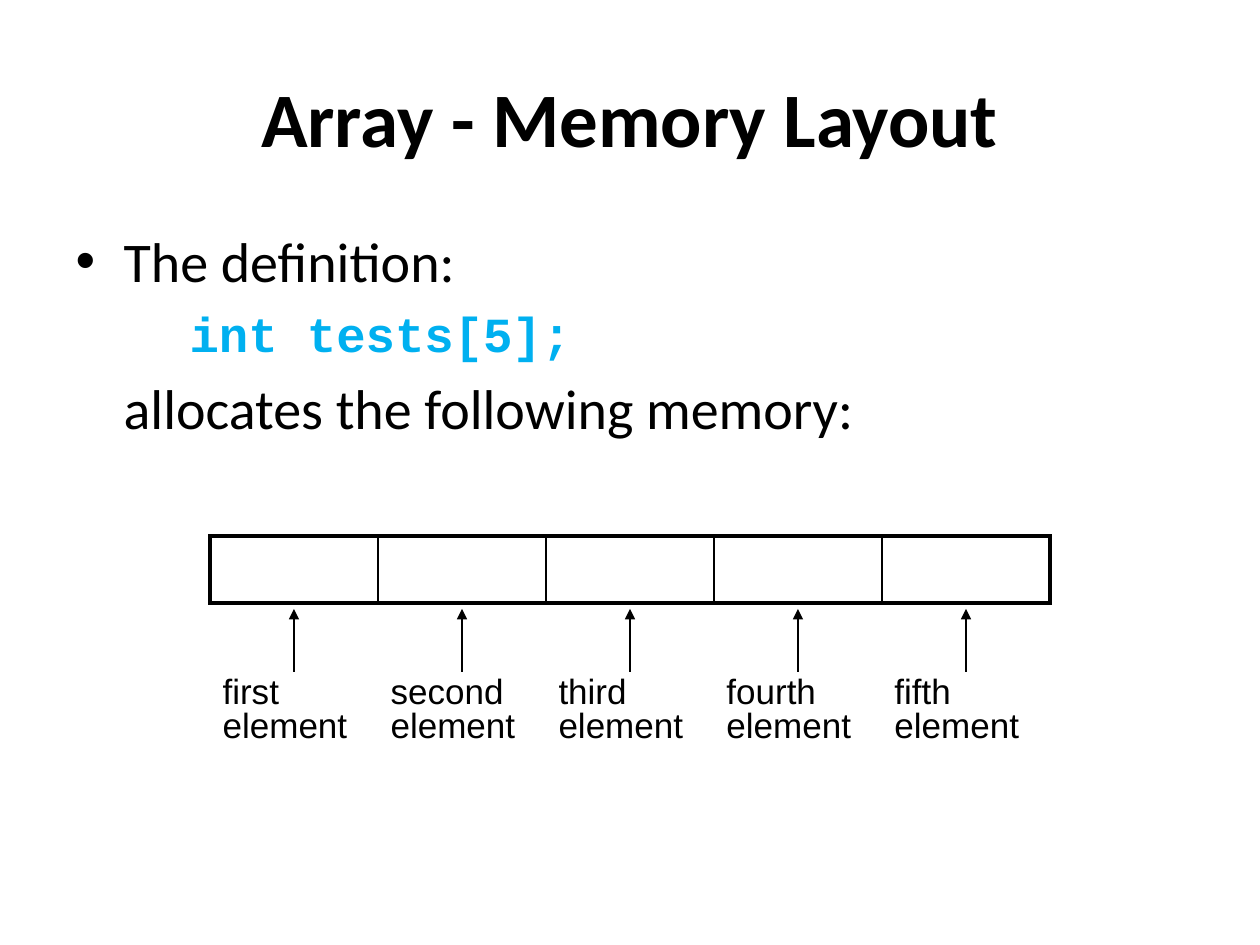
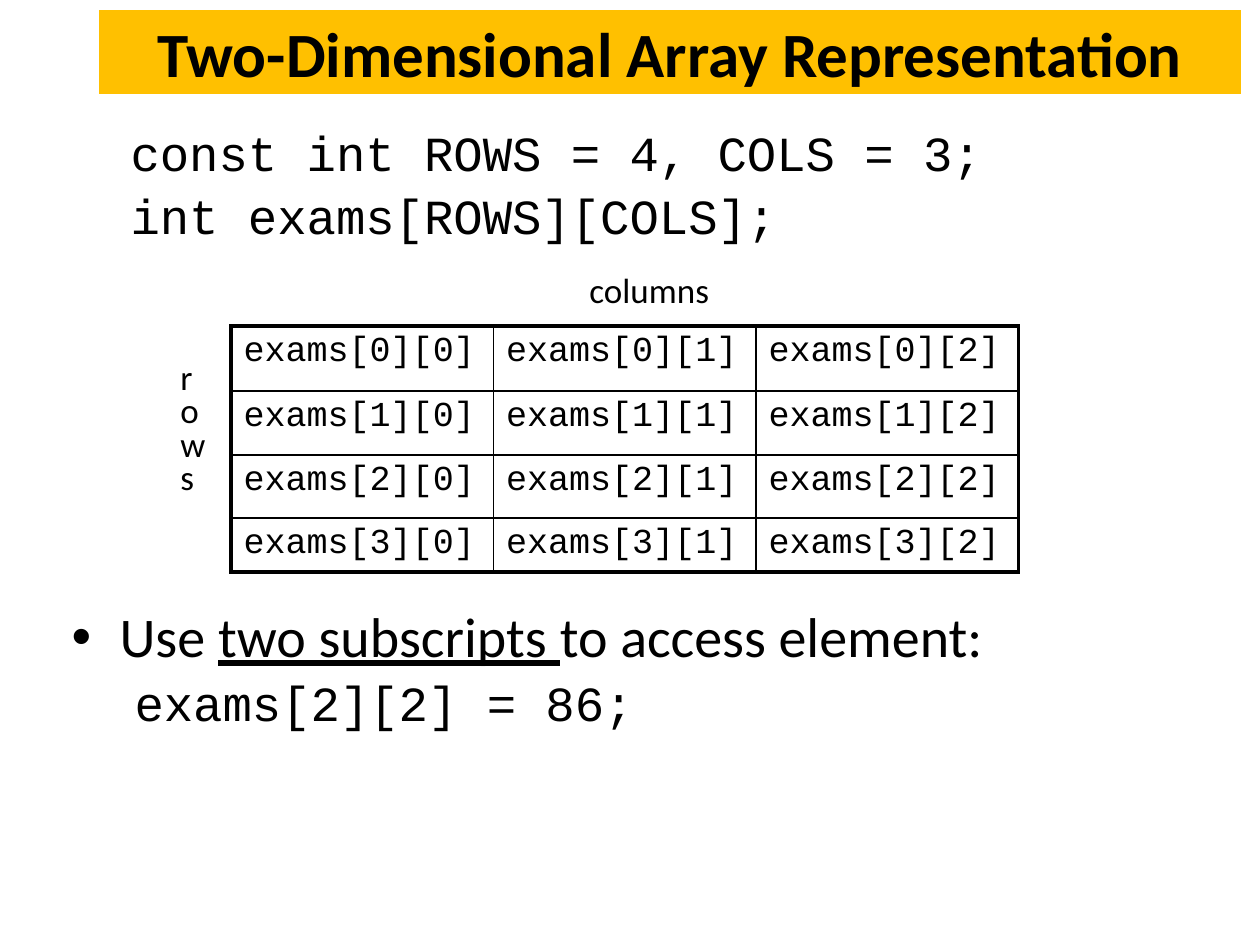
from dataclasses import dataclass

from lxml import etree
from pptx import Presentation
from pptx import util as u
from pptx.dml.color import RGBColor
from pptx.enum import shapes, text
from pptx.oxml import ns

# ---- Content: body lines are (style, wording); | switches underlining ----
MEMORY = {
    "title": "Array - Memory Layout",
    "body": [
        ("bullet", "The definition:"),
        ("definition", "int tests[5];"),
        ("continued", "allocates the following memory:"),
    ],
    "elements": [f"{nth} element" for nth in ("first", "second", "third", "fourth", "fifth")],
}
GRID = {
    "title": "Two-Dimensional Array Representation",
    "body": [
        ("declaration", "const int ROWS = 4, COLS = 3;"),
        ("declaration", "int exams[ROWS][COLS];"),
        ("after_grid", "Use |two subscripts |to access element:"),
        ("access", "exams[2][2] = 86;"),
    ],
    "cells": [[f"exams[{row}][{col}]" for col in range(3)] for row in range(4)],
    "columns": "columns",
    "rows": "rows",
}


# ---- Theme ----
@dataclass(frozen=True)
class Theme:
    ink: str = "000000"
    code: str = "00B0F0"
    band: str = "FFC000"
    sans: str = "Calibri"
    label_font: str = "Arial"
    mono: str = "Courier New"
    title: int = 44
    band_title: int = 36
    body: int = 32
    listing: int = 28
    label: int = 20
    outer_line: float = 2.25
    inner_line: float = 1
    arrow_line: float = 0.75


THEME = Theme()


@dataclass(frozen=True)
class LineStyle:
    indent: int
    font: str = THEME.sans
    size: int = THEME.body
    color: str = THEME.ink
    bold: bool = False
    bullet: bool = False
    level: int = 0
    before: int = 0


STYLES = {
    "bullet": LineStyle(48, bullet=True),
    "continued": LineStyle(48),
    "definition": LineStyle(114, THEME.mono, THEME.listing, THEME.code, bold=True, level=1),
    "declaration": LineStyle(59, THEME.mono, THEME.listing),
    "after_grid": LineStyle(48, bullet=True, before=208),
    "access": LineStyle(63, THEME.mono, THEME.listing, level=1),
}

PX_PER_INCH = 126


def px(length):
    return u.Emu(round(length * 914400 / PX_PER_INCH))


def place(shape, box):
    shape.left, shape.top, shape.width, shape.height = map(px, box)


# ---- Text ----
def style_font(font, name, size, color=THEME.ink, bold=False):
    font.name, font.size, font.bold = name, u.Pt(size), bold
    font.color.rgb = RGBColor.from_string(color)


def style_frame(frame, name, size, spacing=None, bold=False):
    for line in frame.paragraphs:
        line.line_spacing = spacing
        for run in line.runs:
            style_font(run.font, name, size, bold=bold)


def add_title(slide, wording, box, size):
    title = slide.shapes.title
    place(title, box)
    title.text_frame.text = wording
    title.text_frame.vertical_anchor = text.MSO_ANCHOR.MIDDLE
    title.text_frame.paragraphs[0].alignment = text.PP_ALIGN.CENTER
    style_frame(title.text_frame, THEME.sans, size, bold=True)
    return title


def add_body(slide, lines, box, spacing=None):
    body = slide.placeholders[1]
    place(body, box)
    frame = body.text_frame
    frame.auto_size = text.MSO_AUTO_SIZE.NONE
    for number, (style_name, wording) in enumerate(lines):
        style = STYLES[style_name]
        line = frame.add_paragraph() if number else frame.paragraphs[0]
        line.level = style.level
        line.line_spacing = spacing
        if style.before:
            line.space_before = u.Pt(style.before)
        for part, piece in enumerate(wording.split("|")):
            run = line.add_run()
            run.text = piece
            style_font(run.font, style.font, style.size, style.color, style.bold)
            if part % 2:
                run.font.underline = True
        settings = line._p.get_or_add_pPr()
        settings.set("marL", str(px(style.indent)))
        settings.set("indent", str(px(-style.indent if style.bullet else 0)))
        if not style.bullet:
            etree.SubElement(settings, ns.qn("a:buNone"))


def add_label(slide, wording, box, spacing=None):
    label = slide.shapes.add_textbox(*map(px, box))
    label.text_frame.text = wording
    label.text_frame.word_wrap = False
    style_frame(label.text_frame, THEME.sans, THEME.label, spacing)


# ---- Tables ----
def set_border(cell, side, width):
    edge = etree.SubElement(cell._tc.get_or_add_tcPr(), ns.qn(f"a:ln{side}"), w=str(u.Pt(width)))
    if width:
        fill = etree.SubElement(edge, ns.qn("a:solidFill"))
        etree.SubElement(fill, ns.qn("a:srgbClr"), val=THEME.ink)
    else:
        etree.SubElement(edge, ns.qn("a:noFill"))


def add_table(slide, cells, left, top, column_width, heights, font, spacing=None, ruled=True):
    last_row, last_col = len(cells) - 1, len(cells[0]) - 1
    size = (column_width * (last_col + 1), sum(heights))
    table = slide.shapes.add_table(last_row + 1, last_col + 1, *map(px, (left, top, *size))).table
    table.first_row = table.horz_banding = False
    for column in table.columns:
        column.width = px(column_width)
    for r, (wordings, height) in enumerate(zip(cells, heights)):
        table.rows[r].height = px(height)
        for c, wording in enumerate(wordings):
            cell = table.cell(r, c)
            cell.text_frame.text = wording
            style_frame(cell.text_frame, font, THEME.label, spacing)
            outer = {"L": c == 0, "R": c == last_col, "T": r == 0, "B": r == last_row}
            for side, is_outer in outer.items():
                width = THEME.outer_line if is_outer else THEME.inner_line
                set_border(cell, side, width if ruled else 0)
            cell.fill.background()


# ---- Arrows ----
def add_arrow(slide, x, start, end):
    arrow = slide.shapes.add_connector(
        shapes.MSO_CONNECTOR.STRAIGHT, px(x), px(start), px(x), px(end))
    arrow.line.color.rgb = RGBColor.from_string(THEME.ink)
    arrow.line.width = u.Pt(THEME.arrow_line)
    etree.SubElement(arrow.line._get_or_add_ln(), ns.qn("a:tailEnd"), type="triangle")
    etree.SubElement(arrow._element.spPr, ns.qn("a:effectLst"))


# ---- Slides ----
def build_memory(slide):
    add_title(slide, MEMORY["title"], (63, 38, 1134, 158), THEME.title)
    add_body(slide, MEMORY["body"], (63, 220, 1134, 624))
    elements = MEMORY["elements"]
    left, element_width, labels_top = 210, 168, 672
    add_table(slide, [[""] * len(elements)], left, 536, element_width, [67], THEME.label_font)
    add_table(slide, [elements], left, labels_top, element_width, [116],
              THEME.label_font, spacing=0.85, ruled=False)
    for number in range(len(elements)):
        add_arrow(slide, left + element_width * (number + 0.5), labels_top, 609)


def build_grid(slide):
    band = add_title(slide, GRID["title"], (99, 10, 1142, 84), THEME.band_title)
    band.fill.solid()
    band.fill.fore_color.rgb = RGBColor.from_string(THEME.band)
    add_body(slide, GRID["body"], (59, 123, 1071, 672), spacing=0.9)
    add_table(slide, GRID["cells"], 231, 326, 262.5, [65, 64, 63, 54], THEME.mono)
    add_label(slide, GRID["columns"], (577, 262, 156, 54))
    add_label(slide, "\n".join(GRID["rows"]), (168, 357, 50, 147), spacing=0.8)


def main():
    deck = Presentation()
    deck.slide_width, deck.slide_height = px(1260), px(945)
    for build in (build_memory, build_grid):
        build(deck.slides.add_slide(deck.slide_layouts[1]))
    deck.save("out.pptx")


if __name__ == "__main__":
    main()
